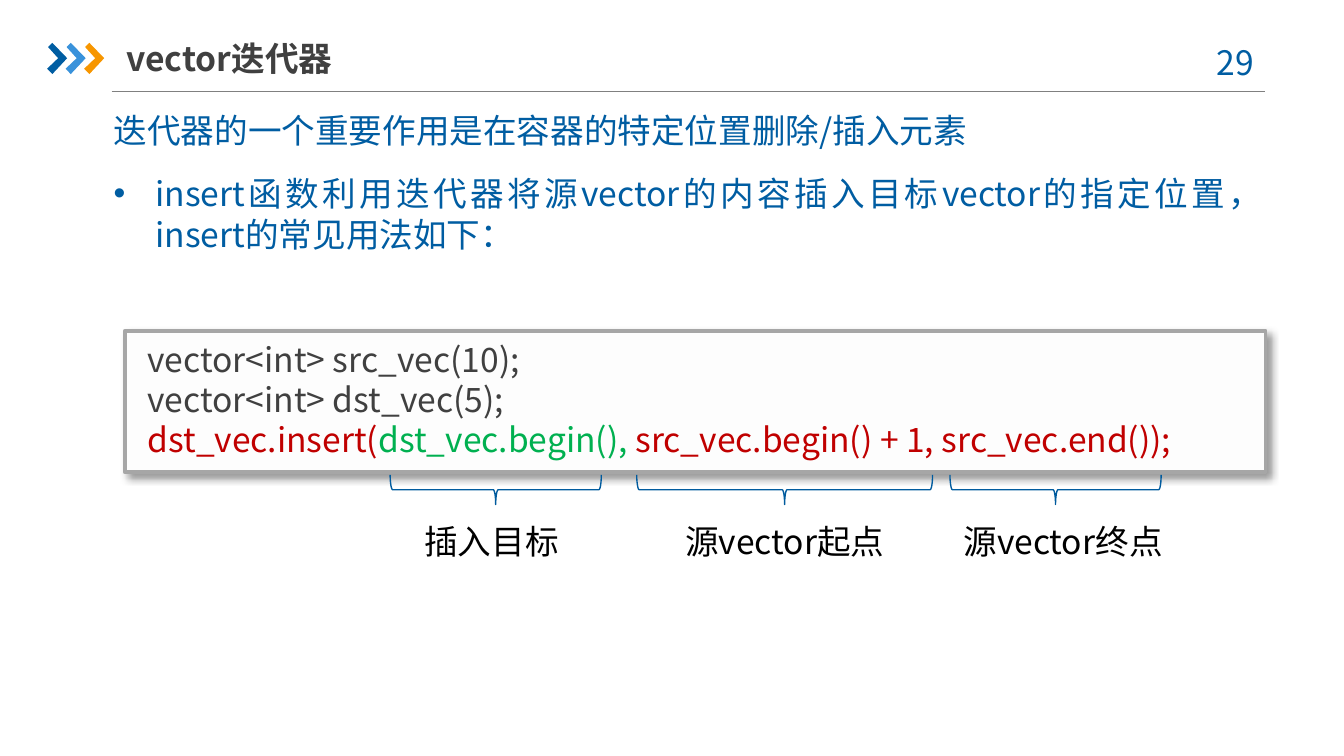
from pptx import Presentation
from pptx.util import Cm, Pt
from pptx.dml.color import RGBColor
from pptx.enum.shapes import MSO_SHAPE as Kind, MSO_CONNECTOR as Wire
from pptx.enum.text import PP_ALIGN as Align, MSO_ANCHOR as Anchor
from pptx.oxml import parse_xml
from pptx.oxml.ns import nsdecls
from lxml.etree import SubElement
from pptx.oxml.ns import qn

# Content
FACE = "Noto Sans CJK SC"
BLUE, GREY, RED, GREEN, BLACK = "005DA2", "404040", "C00000", "00B050", "000000"
TITLE = [[("vector迭代器", GREY)]]
PAGE = [[("29", BLUE)]]
BODY = [
    [("迭代器的一个重要作用是在容器的特定位置删除/插入元素", BLUE)],
    [("insert函数利用迭代器将源vector的内容插入目标vector的指定位置，insert的常见用法如下：", BLUE)],
]
CODE = [
    [("vector<int> src_vec(10);", GREY)],
    [("vector<int> dst_vec(5);", GREY)],
    [("dst_vec.insert(", RED), ("dst_vec.begin(), ", GREEN),
     ("src_vec.begin() + 1, src_vec.end());", RED)],
]
# Brace centre and span, then label, its left and width
NOTES = [
    (9.37, 3.99, "插入目标", 7.77, 3.4),
    (14.83, 5.59, "源vector起点", 12.7, 4.34),
    (19.95, 3.99, "源vector终点", 17.96, 4.34),
]
ARROWS = ["005DA2", "3992DB", "F79600"]
ARROW = [(0.91, 0.89), (0.99, 0.81), (1.27, 1.1), (0.99, 1.4), (0.89, 1.3), (1.1, 1.1)]
STEP = 0.35
BRACE_Y, DEPTH, LABEL_Y = 9.25, 0.56, 9.72

deck = Presentation()
deck.slide_width, deck.slide_height = Cm(25.4), Cm(14.28)
slide = deck.slides.add_slide(deck.slide_layouts[6])
parts = slide.shapes


def tint(code):
    return RGBColor.from_string(code)


def style(shape, fill=None, line=None, width=0.75):
    shape.shadow.inherit = False
    if fill:
        shape.fill.solid()
        shape.fill.fore_color.rgb = tint(fill)
    else:
        shape.fill.background()
    if line:
        shape.line.color.rgb = tint(line)
        shape.line.width = Pt(width)
    else:
        shape.line.fill.background()


def write(area, lines, bold=False, frame_set=None, para_set=None):
    frame = parts.add_textbox(*map(Cm, area)).text_frame
    for key, value in {"word_wrap": True, **(frame_set or {})}.items():
        setattr(frame, key, value)
    for i, line in enumerate(lines):
        para = frame.add_paragraph() if i else frame.paragraphs[0]
        for key, value in (para_set or {}).items():
            setattr(para, key, value)
        for text, color in line:
            run = para.add_run()
            run.text = text
            font = {"size": Pt(18), "name": FACE, "bold": bold}
            for key, value in font.items():
                setattr(run.font, key, value)
            run.font.color.rgb = tint(color)
            SubElement(run.font._element, qn("a:ea")).set("typeface", FACE)
    return frame


# Header: rule, arrows, page number, title
rule = parts.add_connector(Wire.STRAIGHT, Cm(2.11), Cm(1.73), Cm(23.9), Cm(1.73))
rule.line.color.rgb = tint("808080")
rule.line.width = Pt(0.75)
SubElement(rule._element.spPr, qn("a:effectLst"))

for i, color in enumerate(ARROWS):
    spots = [(Cm(x + i * STEP), Cm(y)) for x, y in ARROW]
    path = parts.build_freeform(*spots[0])
    path.add_line_segments(spots[1:], close=True)
    style(path.convert_to_shape(), color)

write((22.42, 0.66, 1.85, 1.02), PAGE, para_set={"alignment": Align.CENTER})
write((2.39, 0.56, 6.53, 1.07), TITLE, bold=True,
      frame_set={"vertical_anchor": Anchor.MIDDLE, "margin_left": 0, "margin_right": 0})

# Body with a bullet on the second paragraph
body = write((1.9, 1.96, 22.2, 3), BODY,
             para_set={"alignment": Align.JUSTIFY, "space_after": Pt(12)})
props = body.paragraphs[1]._p.get_or_add_pPr()
props.set("marL", str(Cm(0.79)))
props.set("indent", str(-Cm(0.79)))
SubElement(props, qn("a:buFont")).set("typeface", "Arial")
SubElement(props, qn("a:buChar")).set("char", "•")

# Code panel with a soft shadow
panel = parts.add_shape(Kind.RECTANGLE, Cm(2.36), Cm(6.25), Cm(21.56), Cm(2.67))
style(panel, "FDFDFD", "A6A6A6", 2)
glow = panel._element.spPr.find(qn("a:effectLst"))
glow.append(parse_xml(
    f'<a:outerShdw {nsdecls("a")} blurRad="{Pt(4)}" dist="{Pt(3)}" dir="2700000" '
    'algn="tl" rotWithShape="0"><a:srgbClr val="000000"><a:alpha val="40000"/>'
    '</a:srgbClr></a:outerShdw>'))
write((2.54, 6.27, 21, 2.57), CODE)

# Braces under the arguments, with labels
for mid, span, label, left, width in NOTES:
    brace = parts.add_shape(Kind.LEFT_BRACE, Cm(mid - DEPTH / 2), Cm(BRACE_Y - span / 2),
                            Cm(DEPTH), Cm(span))
    brace.rotation = 270
    style(brace, line="005B9E")
    write((left, LABEL_Y, width, 1.02), [[(label, BLACK)]])

deck.save("out.pptx")
